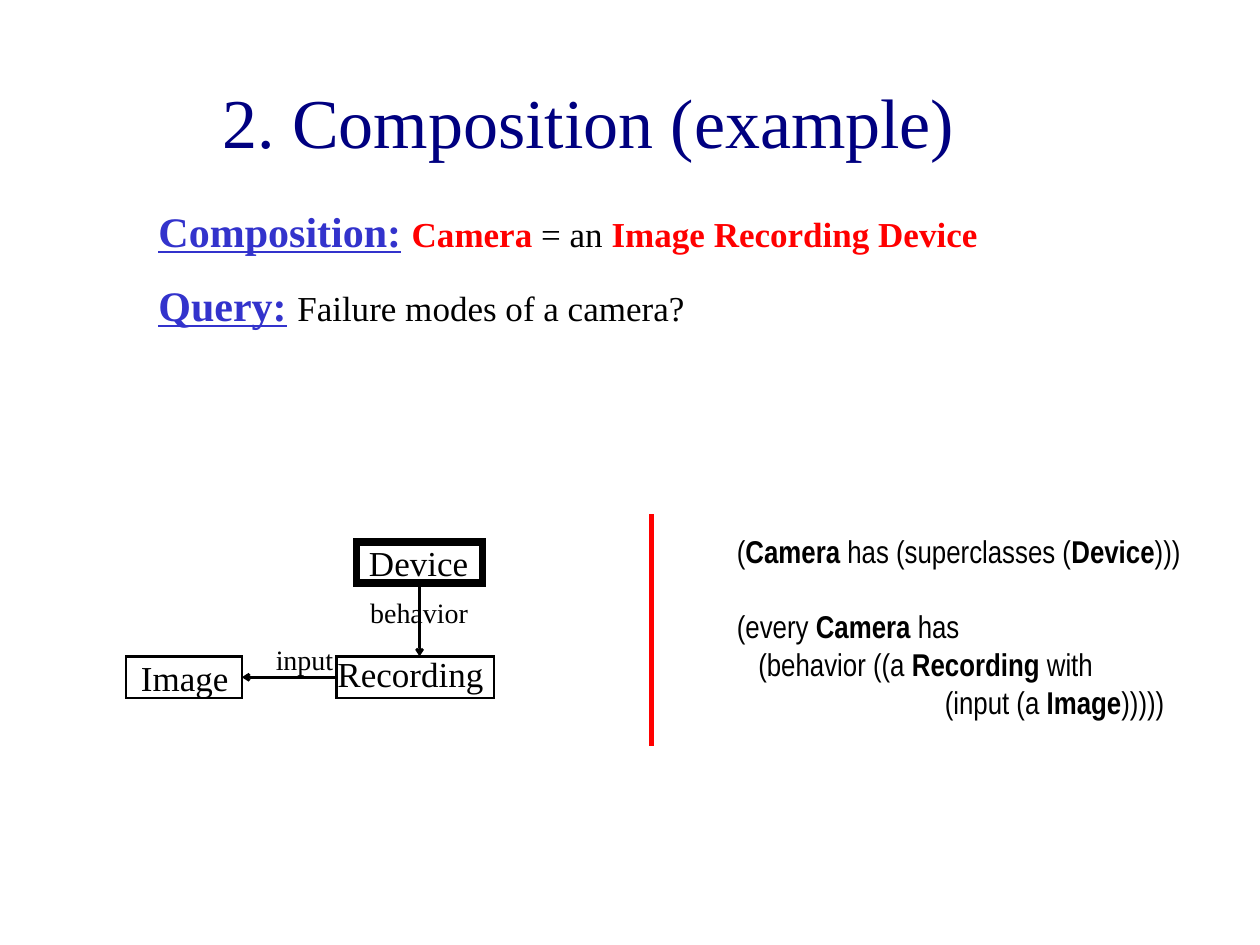
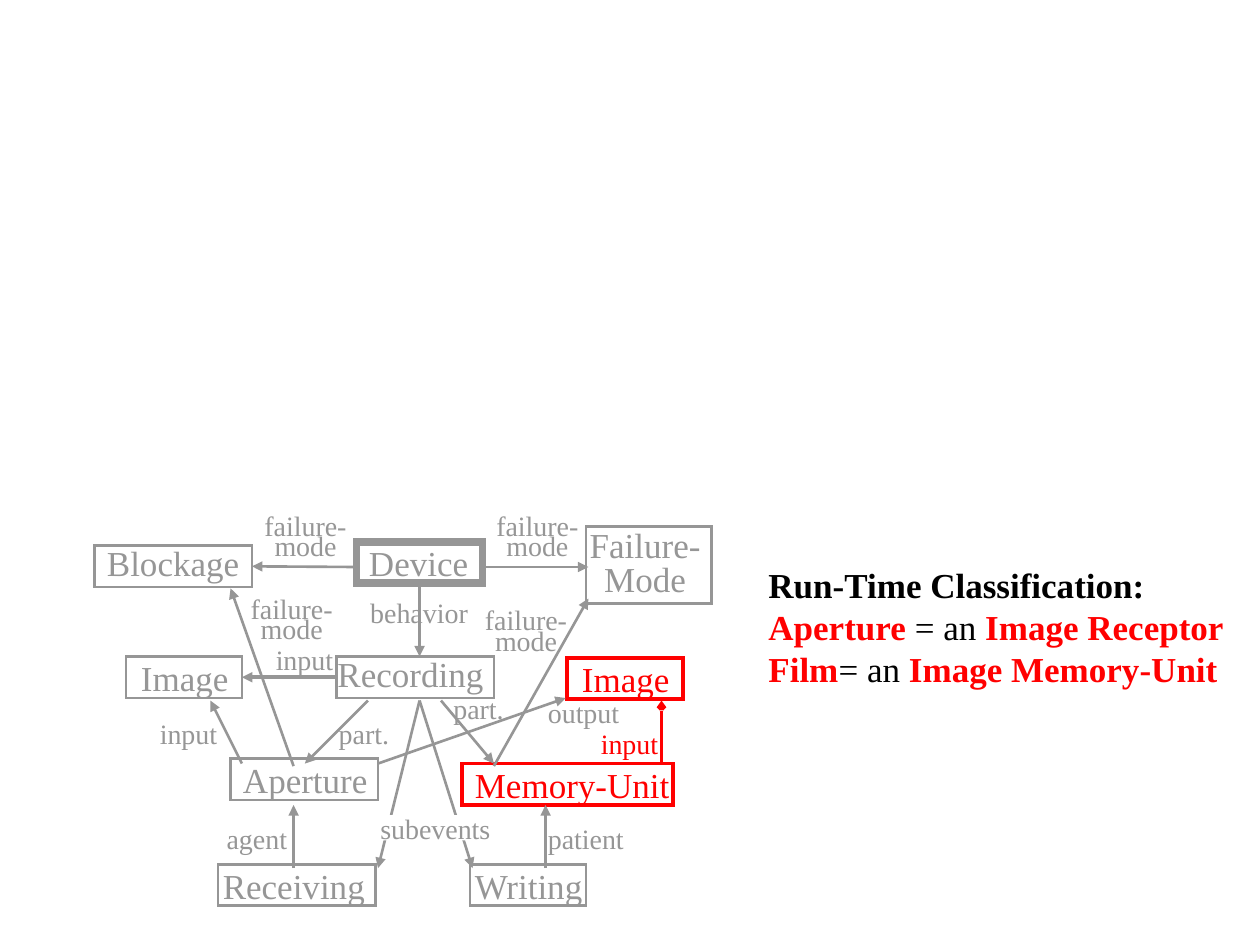
from dataclasses import dataclass
from typing import NamedTuple

from lxml import etree
from pptx import Presentation
from pptx.dml.color import RGBColor
from pptx.enum.shapes import MSO_CONNECTOR, MSO_SHAPE
from pptx.enum.text import MSO_ANCHOR, MSO_AUTO_SIZE, PP_ALIGN
from pptx.oxml.ns import qn
from pptx.shapes.autoshape import Shape
from pptx.slide import Slide
from pptx.util import Inches, Pt

RECTANGLE = MSO_SHAPE.RECTANGLE
STRAIGHT = MSO_CONNECTOR.STRAIGHT
MIDDLE = MSO_ANCHOR.MIDDLE
GROW = MSO_AUTO_SIZE.SHAPE_TO_FIT_TEXT
FIXED = MSO_AUTO_SIZE.NONE
LEFT, CENTER = PP_ALIGN.LEFT, PP_ALIGN.CENTER

SERIF, NARROW = "Times New Roman", "Arial Narrow"
BLACK, WHITE, GRAY, RED = "000000", "FFFFFF", "969696", "FF0000"
NAVY, BLUE = "000080", "3333CC"
NODE_SIZE, ROLE_SIZE = 20, 16
NODE_HEIGHT = 0.33
HEAD_SIZES = {"triangle": "med", "arrow": "sm"}
TOP, LEFT_SIDE, BOTTOM, RIGHT_SIDE = range(4)


class Area(NamedTuple):
    left: float
    top: float
    width: float
    height: float


class Point(NamedTuple):
    x: float
    y: float


class Joint(NamedTuple):
    node: str
    side: int


class Span(NamedTuple):
    text: str
    color: str = BLACK
    bold: bool = False
    size: float = 20
    underline: bool = False


class Line(NamedTuple):
    spans: list[Span]
    indent: float = 0
    space_before: float = 0


@dataclass
class Node:
    key: str
    box: Area
    label: Area
    text: str
    color: str = GRAY
    weight: float = 1.5
    align: PP_ALIGN = LEFT
    spacing: float = 1


@dataclass
class Edge:
    start: Point | Joint
    end: Point | Joint
    color: str = GRAY
    weight: float = 1.5
    head: str = "triangle"


@dataclass
class Role:
    text: str
    left: float
    top: float
    width: float
    color: str = GRAY


def rgb(color: str) -> RGBColor:
    return RGBColor.from_string(color)


def inches(area: Area) -> list[Inches]:
    return [Inches(value) for value in area]


def style(run, color: str, size: float, font: str = SERIF,
          bold: bool = False, underline: bool = False) -> None:
    run.font.name = font
    run.font.size = Pt(size)
    run.font.color.rgb = rgb(color)
    run.font.bold = bold
    run.font.underline = underline


def add_frame(slide: Slide, area: Area, align: PP_ALIGN = LEFT):
    frame = slide.shapes.add_textbox(*inches(area)).text_frame
    frame.word_wrap = False
    frame.auto_size = GROW
    if align == LEFT:
        frame.margin_right = 0
    return frame


def add_label(slide: Slide, area: Area, text: str, color: str, size: float,
              align: PP_ALIGN = LEFT, spacing: float = 1) -> None:
    frame = add_frame(slide, area, align)
    frame.text = text
    for paragraph in frame.paragraphs:
        paragraph.alignment = align
        paragraph.line_spacing = spacing
        for run in paragraph.runs:
            style(run, color, size)


def add_lines(slide: Slide, area: Area, lines: list[Line], font: str = SERIF) -> None:
    frame = add_frame(slide, area)
    for index, line in enumerate(lines):
        paragraph = frame.add_paragraph() if index else frame.paragraphs[0]
        paragraph.space_before = Pt(line.space_before)
        paragraph._p.get_or_add_pPr().set("marL", str(Inches(line.indent)))
        for span in line.spans:
            run = paragraph.add_run()
            run.text = span.text
            style(run, span.color, span.size, font, span.bold, span.underline)


def add_node(slide: Slide, node: Node) -> Shape:
    box = slide.shapes.add_shape(RECTANGLE, *inches(node.box))
    box.shadow.inherit = False
    box.fill.background()
    box.line.color.rgb = rgb(node.color)
    box.line.width = Pt(node.weight)
    outline = box.element.spPr.find(qn("a:ln"))
    etree.SubElement(outline, qn("a:miter"), lim="800000")
    add_label(slide, node.label, node.text, node.color, NODE_SIZE, node.align, node.spacing)
    return box


def add_edge(slide: Slide, edge: Edge, boxes: dict[str, Shape]) -> None:
    ends = [end if isinstance(end, Point) else Point(0, 0) for end in (edge.start, edge.end)]
    connector = slide.shapes.add_connector(
        STRAIGHT, *[Inches(value) for end in ends for value in end])
    if isinstance(edge.start, Joint):
        connector.begin_connect(boxes[edge.start.node], edge.start.side)
    if isinstance(edge.end, Joint):
        connector.end_connect(boxes[edge.end.node], edge.end.side)
    connector.line.color.rgb = rgb(edge.color)
    connector.line.width = Pt(edge.weight)
    properties = connector.element.spPr
    head_size = HEAD_SIZES[edge.head]
    etree.SubElement(properties.find(qn("a:ln")), qn("a:tailEnd"),
                     type=edge.head, w=head_size, len=head_size)
    etree.SubElement(properties, qn("a:effectLst"))


def add_role(slide: Slide, role: Role) -> None:
    add_label(slide, Area(role.left, role.top, role.width, 0.37),
              role.text, role.color, ROLE_SIZE)


def node_row(key: str, left: float, top: float, width: float, label_left: float,
             label_top: float, label_width: float, color: str = GRAY,
             weight: float = 1.5) -> Node:
    return Node(key, Area(left, top, width, NODE_HEIGHT),
                Area(label_left, label_top, label_width, 0.44),
                key.removeprefix("Output "), color, weight)


def add_core(slide: Slide, color: str, weight: float, head: str) -> dict[str, Shape]:
    nodes = [
        node_row("Recording", 2.67, 5.21, 1.25, 2.58, 5.13, 1.36, color),
        node_row("Image", 1, 5.21, 0.92, 1.02, 5.16, 0.89, color),
        node_row("Device", 2.83, 4.3, 1, 2.83, 4.25, 0.99, color, 4.5),
    ]
    boxes = {node.key: add_node(slide, node) for node in nodes}
    for edge in (
        Edge(Joint("Recording", LEFT_SIDE), Joint("Image", RIGHT_SIDE), color, weight, head),
        Edge(Joint("Device", BOTTOM), Point(3.33, 5.21), color, weight, head),
    ):
        add_edge(slide, edge, boxes)
    add_role(slide, Role("behavior", 2.84, 4.68, 0.97, color))
    add_role(slide, Role("input", 2.09, 5.05, 0.65, color))
    return boxes


def code(*parts: str) -> list[Span]:
    return [Span(part, BLACK, index % 2 == 1, 18) for index, part in enumerate(parts)]


def build_composition(slide: Slide) -> None:
    title = slide.shapes.title
    title.left, title.top, title.width, title.height = inches(Area(0.42, 0.33, 8.5, 1.25))
    frame = title.text_frame
    frame.text = "2. Composition (example)"
    frame.auto_size = FIXED
    frame.vertical_anchor = MIDDLE
    frame.paragraphs[0].alignment = CENTER
    style(frame.paragraphs[0].runs[0], NAVY, 40)

    add_lines(slide, Area(5.75, 4.17, 3.72, 1.6), [
        Line(code("(", "Camera", " has (superclasses (", "Device", ")))")),
        Line(code("(every ", "Camera", " has"), space_before=21.75),
        Line(code("(behavior ((a ", "Recording ", "with"), indent=0.17),
        Line(code("(input (a ", "Image", ")))))"), indent=1.65),
    ], NARROW)

    divider = slide.shapes.add_connector(
        STRAIGHT, Inches(5.17), Inches(4.08), Inches(5.17), Inches(5.92))
    divider.line.color.rgb = rgb(RED)
    divider.line.width = Pt(3)
    etree.SubElement(divider.element.spPr, qn("a:effectLst"))

    add_lines(slide, Area(1.16, 1.58, 6.7, 0.5), [Line([
        Span("Composition:", BLUE, True, 24, True), Span(" ", BLUE, True, 24),
        Span("Camera", RED, True), Span(" = an "),
        Span("Image Recording Device", RED, True)])])
    add_lines(slide, Area(1.16, 2.17, 4.37, 0.5), [Line([
        Span("Query:", BLUE, True, 24, True), Span(" ", BLUE, True, 24),
        Span("Failure modes of a camera?")])])
    add_core(slide, BLACK, 1.5, "arrow")


def build_classification(slide: Slide) -> None:
    add_lines(slide, Area(6, 4.42, 3.82, 1.1), [
        Line([Span("Run-Time Classification:", BLACK, True)]),
        Line([Span("Aperture", RED, True), Span(" = an "),
              Span("Image Receptor", RED, True)]),
        Line([Span("Film", RED, True), Span("= an "),
              Span("Image Memory-Unit", RED, True)]),
    ])

    boxes = add_core(slide, GRAY, 2, "triangle")
    nodes = [
        node_row("Blockage", 0.75, 4.33, 1.25, 0.75, 4.25, 1.25),
        node_row("Memory-Unit", 3.67, 6.06, 1.67, 3.67, 6.01, 1.75, RED, 2.25),
        node_row("Receiving", 1.73, 6.86, 1.25, 1.67, 6.81, 1.33),
        node_row("Writing", 3.73, 6.86, 0.92, 3.67, 6.81, 1.06),
        node_row("Aperture", 1.83, 6.02, 1.17, 1.83, 5.97, 1.19),
        node_row("Output Image", 4.5, 5.22, 0.92, 4.52, 5.17, 0.89, RED, 2.25),
        Node("Failure-Mode", Area(4.65, 4.18, 1, 0.61), Area(4.58, 4.17, 1.08, 0.64),
             "Failure-\nMode", align=CENTER, spacing=0.8),
    ]
    boxes |= {node.key: add_node(slide, node) for node in nodes}

    subevents_start = Point(3.33, 5.56)
    for edge in (
        Edge(subevents_start, Point(3, 6.89)),
        Edge(subevents_start, Point(3.75, 6.89)),
        Edge(Point(2.92, 5.56), Point(2.42, 6.06)),
        Edge(Point(3.5, 5.56), Point(3.92, 6.06)),
        Edge(Point(5.25, 6.06), Point(5.25, 5.56), RED, 2.25, "arrow"),
        Edge(Point(2.33, 6.89), Point(2.33, 6.39)),
        Edge(Point(4.33, 6.89), Point(4.33, 6.39)),
        Edge(Point(2.83, 4.5), Joint("Blockage", RIGHT_SIDE)),
        Edge(Point(3.83, 4.5), Point(4.67, 4.5)),
        Edge(Point(3.92, 6.08), Point(4.67, 4.75)),
        Edge(Point(1.92, 6.06), Point(1.67, 5.56)),
        Edge(Point(3, 6.06), Point(4.49, 5.54)),
        Edge(Point(2.33, 6.08), Point(1.83, 4.67)),
    ):
        add_edge(slide, edge, boxes)

    subevents_gap = slide.shapes.add_shape(RECTANGLE, *inches(Area(3, 6.47, 0.8, 0.2)))
    subevents_gap.shadow.inherit = False
    subevents_gap.fill.solid()
    subevents_gap.fill.fore_color.rgb = rgb(WHITE)
    subevents_gap.line.fill.background()

    for role in (
        Role("agent", 1.7, 6.47, 0.68),
        Role("subevents", 2.92, 6.39, 1.07),
        Role("patient", 4.25, 6.47, 0.8),
        Role("part.", 3.5, 5.44, 0.6),
        Role("part.", 2.59, 5.64, 0.6),
        Role("input", 4.67, 5.72, 0.65, RED),
        Role("input", 1.17, 5.64, 0.65),
        Role("output", 4.25, 5.47, 0.76),
    ):
        add_role(slide, role)
    for left, top in ((3.84, 4.08), (2, 4.08), (3.75, 4.83), (1.89, 4.74)):
        add_label(slide, Area(left, top, 0.85, 0.42), "failure-\nmode",
                  GRAY, ROLE_SIZE, CENTER, 0.6)


def main() -> None:
    deck = Presentation()
    deck.slide_width, deck.slide_height = Inches(10), Inches(7.5)
    title_only, blank = deck.slide_layouts[5], deck.slide_layouts[6]
    build_composition(deck.slides.add_slide(title_only))
    build_classification(deck.slides.add_slide(blank))
    deck.save("out.pptx")


if __name__ == "__main__":
    main()
